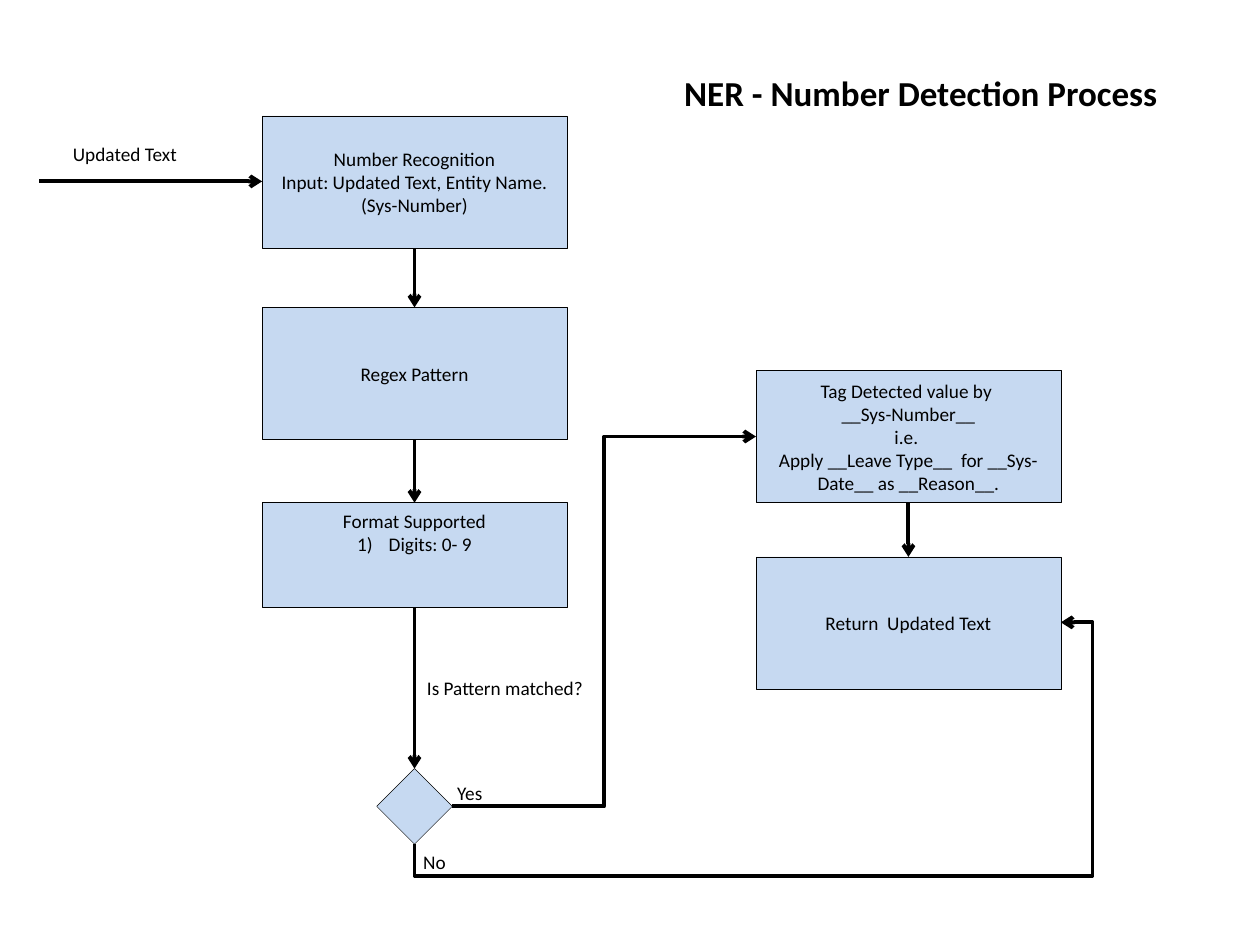
import pptx
import pptx.util
import pptx.dml.color
import pptx.enum.shapes
import pptx.enum.text
import pptx.oxml
import pptx.oxml.ns

Inches, Pt = pptx.util.Inches, pptx.util.Pt
Shape = pptx.enum.shapes.MSO_SHAPE
Connector = pptx.enum.shapes.MSO_CONNECTOR
Anchor = pptx.enum.text.MSO_ANCHOR
Align = pptx.enum.text.PP_ALIGN
qn = pptx.oxml.ns.qn

BLACK = pptx.dml.color.RGBColor(0x00, 0x00, 0x00)
PALE_BLUE = pptx.dml.color.RGBColor(0xC6, 0xD9, 0xF1)
FONT = "Calibri"
TOP, LEFT, BOTTOM, RIGHT = range(4)  # connection sites
STEP_WIDTH, STEP_HEIGHT = 2.42, 1.05


def place(shape, left, top, width, height):
    shape.left, shape.top = Inches(left), Inches(top)
    shape.width, shape.height = Inches(width), Inches(height)


def write(shape, text, align, anchor=Anchor.TOP, size=11, bold=False):
    frame = shape.text_frame
    frame.text = text
    frame.word_wrap = True
    frame.vertical_anchor = anchor
    for paragraph in frame.paragraphs:
        paragraph.alignment = align
        for span in paragraph.runs:
            span.font.name, span.font.size = FONT, Pt(size)
            span.font.bold, span.font.color.rgb = bold, BLACK


def add_node(page, left, top, width=STEP_WIDTH, height=STEP_HEIGHT, text="",
             kind=Shape.RECTANGLE, anchor=Anchor.MIDDLE):
    node = page.shapes.add_shape(kind, 0, 0, 0, 0)
    place(node, left, top, width, height)
    node.shadow.inherit = False
    node.fill.solid()
    node.fill.fore_color.rgb = PALE_BLUE
    node.line.color.rgb = BLACK
    node.line.width = Pt(0.25)
    if text:
        write(node, text, Align.CENTER, anchor)
    return node


def add_label(page, text, left, top, width):
    label = page.shapes.add_textbox(0, 0, 0, 0)
    place(label, left, top, width, 0.29)
    write(label, text, Align.LEFT)


def add_arrow(page, kind, start=(0, 0), end=(0, 0)):
    points = [Inches(value) for value in (*start, *end)]
    arrow = page.shapes.add_connector(kind, *points)
    arrow.line.color.rgb = BLACK
    arrow.line.width = Pt(2.25)
    tail = pptx.oxml.parse_xml(
        '<a:tailEnd %s type="arrow"/>' % pptx.oxml.ns.nsdecls("a"))
    arrow.line._get_or_add_ln().append(tail)
    arrow._element.spPr.append(pptx.oxml.parse_xml(
        "<a:effectLst %s/>" % pptx.oxml.ns.nsdecls("a")))
    return arrow


def join(page, source, source_site, target, target_site, kind=Connector.STRAIGHT):
    arrow = add_arrow(page, kind)
    arrow.begin_connect(source, source_site)
    arrow.end_connect(target, target_site)


def add_return_arrow(page, start, end):
    """Elbow that leaves downwards, runs below and enters from the right."""
    arrow = add_arrow(page, Connector.ELBOW)
    across, rise = end[0] - start[0], start[1] - end[1]
    middle_x, middle_y = (start[0] + end[0]) / 2, (start[1] + end[1]) / 2
    place(arrow, middle_x - rise / 2, middle_y - across / 2, rise, across)
    frame = arrow._element.spPr.find(qn("a:xfrm"))
    for name, value in (("rot", "5400000"), ("flipH", "1"), ("flipV", "1")):
        frame.set(name, value)
    outline = arrow._element.spPr.find(qn("a:prstGeom"))
    outline.set("prst", "bentConnector4")
    guides = outline.find(qn("a:avLst"))
    for name, value in (("adj1", -14200), ("adj2", 104900)):
        guide = guides.makeelement(qn("a:gd"), {"name": name, "fmla": f"val {value}"})
        guides.append(guide)


def number_paragraph(paragraph):
    properties = paragraph._p.get_or_add_pPr()
    indent = Inches(0.25)
    properties.set("marL", str(indent))
    properties.set("indent", str(-indent))
    properties.append(pptx.oxml.parse_xml(
        '<a:buAutoNum %s type="arabicParenR"/>' % pptx.oxml.ns.nsdecls("a")))


def add_detection_column(page, left, top):
    """Recognition steps ending in the decision diamond, which is returned."""
    recognition = add_node(
        page, left, top,
        text="Number Recognition\nInput: Updated Text, Entity Name. (Sys-Number)")
    regex = add_node(page, left, top + 1.52, text="Regex Pattern")
    formats = add_node(page, left, top + 3.07, height=0.83, anchor=Anchor.TOP,
                       text="Format Supported\nDigits: 0- 9")
    number_paragraph(formats.text_frame.paragraphs[1])
    decision = add_node(page, left + STEP_WIDTH / 2 - 0.3, top + 5.18, 0.6, 0.6,
                        kind=Shape.DIAMOND)
    steps = [recognition, regex, formats, decision]
    for source, target in zip(steps, steps[1:]):
        join(page, source, BOTTOM, target, TOP)

    # Incoming text
    add_arrow(page, Connector.STRAIGHT, (left - 1.77, top + 0.52), (left, top + 0.52))
    add_label(page, "Updated Text", left - 1.6, top + 0.16, 1.42)

    # Decision labels
    add_label(page, "Is Pattern matched? ", left + 1.21, top + 4.4, 1.83)
    add_label(page, "Yes", left + 1.45, top + 5.23, 0.71)
    add_label(page, "No", left + 1.18, top + 5.78, 0.66)
    return decision


def add_tagging_column(page, left, top):
    tag = add_node(page, left, top, text=(
        "Tag Detected value by \n__Sys-Number__\ni.e. \n"
        "Apply __Leave Type__  for __Sys-Date__ as __Reason__."))
    result = add_node(page, left, top + 1.48, text="Return  Updated Text")
    join(page, tag, BOTTOM, result, TOP)
    return tag


def add_title(page, left, top):
    title = page.shapes.title
    place(title, left, top, 4.25, 0.44)
    write(title, "NER - Number Detection Process", Align.LEFT, size=20, bold=True)


deck = pptx.Presentation()
deck.slide_width, deck.slide_height = Inches(10), Inches(7.5)
page = deck.slides.add_slide(deck.slide_layouts[5])

add_title(page, 5.33, 0.52)
decision = add_detection_column(page, 2.08, 0.92)
tag = add_tagging_column(page, 6, 2.94)

# Outcomes of the decision
join(page, decision, RIGHT, tag, LEFT, Connector.ELBOW)
add_return_arrow(page, (3.29, 6.7), (8.42, 4.94))

deck.save("out.pptx")
